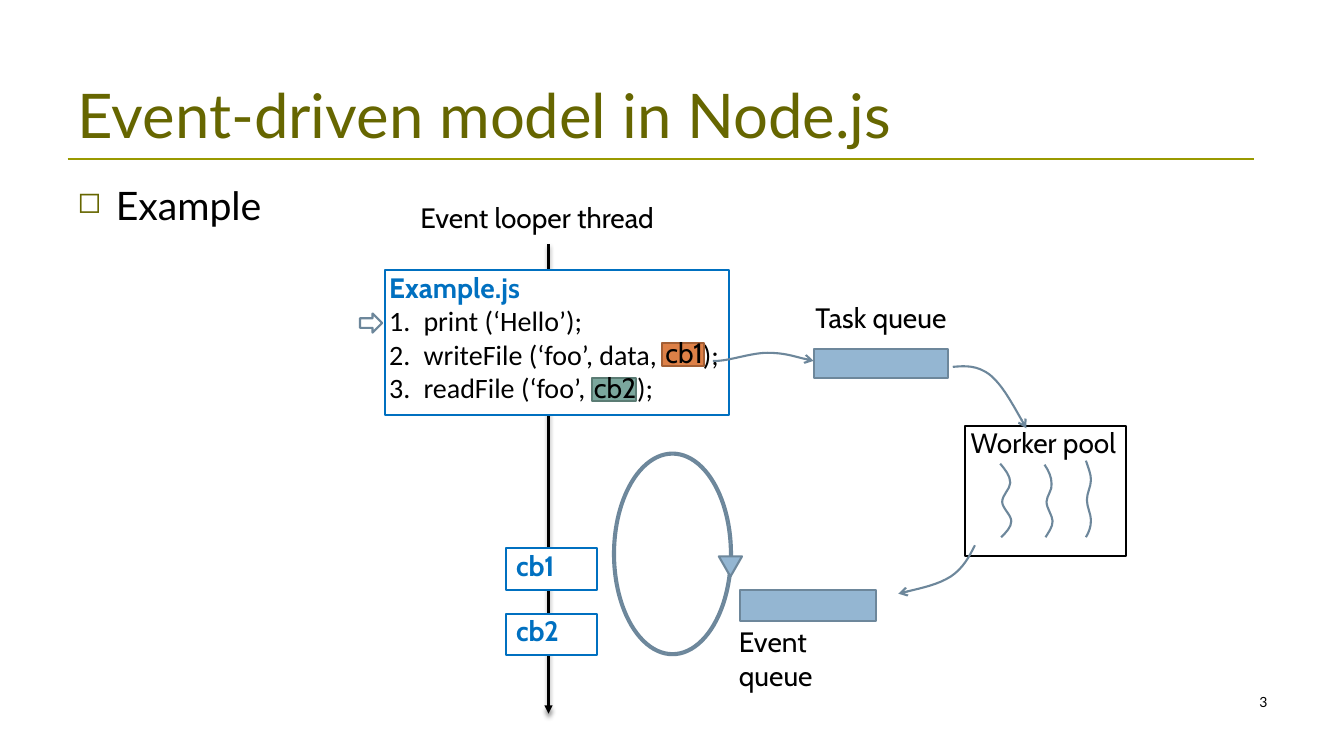
"""Build a slide on the event-driven model in Node.js."""
from lxml.etree import SubElement
from pptx import Presentation
from pptx.dml.color import RGBColor
from pptx.enum.shapes import MSO_CONNECTOR, MSO_SHAPE
from pptx.enum.text import MSO_ANCHOR, PP_ALIGN
from pptx.oxml.ns import qn
from pptx.util import Emu, Pt

PX = 9144
COLORS = {
    "ink": "000000", "paper": "FFFFFF", "olive": "666600", "rule": "999900",
    "blue": "0070C0", "steel": "6D879B", "sky": "94B6D2",
    "orange": "DD8047", "rust": "A35F35", "teal": "7BA79D", "pine": "5B7C74",
}

TITLE = ("Event-driven model in Node.js", (67, 30, 1200, 125))
TOPIC = ("Example", (67, 175, 1200, 495))
PAGE = ("3", (956, 683, 311, 50))
TITLE_RULE = (67, 158, 1244, 158)
LOOPER_THREAD = (544, 242, 544, 708)

CODE_BOX = (382, 268, 341, 144)
CODE_NAME = "Example.js"
CODE_LINES = [
    ("1.\tprint (‘Hello’);", [34]),
    ("2.\twriteFile (‘foo’, data,\t);", [34, 311]),
    ("3.\treadFile (‘foo’,\t);", [34, 246]),
]

CALLBACKS = ["cb1", "cb2"]
CALLBACK_BOX = (502, 544, 90, 41)
CALLBACK_STEP = 65

FIGURES = [
    (MSO_SHAPE.RIGHT_ARROW, (357, 311, 22, 19), "paper", "steel"),
    (MSO_SHAPE.RECTANGLE, (957, 423, 160, 129), "paper", "ink"),
    (MSO_SHAPE.RECTANGLE, (807, 346, 133, 29), "sky", "steel"),
    (MSO_SHAPE.RECTANGLE, (734, 585, 135, 31), "sky", "steel"),
    (MSO_SHAPE.DONUT, (608, 449, 118, 201), "sky", "steel"),
    (MSO_SHAPE.FLOWCHART_MERGE, (713, 552, 23, 20), "sky", "steel"),
    (MSO_SHAPE.RECTANGLE, (657, 340, 41, 23), "orange", "rust"),
    (MSO_SHAPE.RECTANGLE, (587, 375, 44, 23), "teal", "pine"),
]
LABELS = [
    ("Event looper thread", (407, 194, 262, 44)),
    ("Worker pool", (953, 417, 164, 44)),
    ("Task queue", (799, 293, 183, 44)),
    ("Event queue", (723, 615, 160, 44)),
]
ARGUMENTS = [("cb2", (589, 368, 57, 34)), ("cb1", (660, 333, 47, 34))]

FLOWS = [
    [(707, 358), (721, 359), (744, 350), (761, 350), (778, 350), (792, 355), (807, 358)],
    [(945, 364), (957, 363), (969, 362), (982, 372), (994, 382), (1006, 404), (1018, 425)],
    [(967, 541), (961, 553), (955, 564), (943, 572), (930, 580), (911, 584), (891, 589)],
]
WORKERS = [
    [(992, 460), (997, 466), (1002, 472), (1002, 479), (1002, 485), (994, 491), (994, 498),
     (994, 504), (1003, 511), (1003, 517), (1003, 523), (998, 528), (993, 533)],
    [(1036, 461), (1040, 467), (1043, 473), (1043, 480), (1044, 486), (1038, 492), (1038, 498),
     (1038, 504), (1044, 512), (1044, 517), (1044, 523), (1040, 528), (1037, 533)],
    [(1077, 457), (1079, 463), (1082, 470), (1082, 476), (1082, 483), (1078, 489), (1078, 496),
     (1078, 503), (1082, 510), (1082, 516), (1082, 523), (1080, 528), (1077, 533)],
]


def rgb(name):
    return RGBColor.from_string(COLORS[name])


def emu(lengths):
    return [Emu(length * PX) for length in lengths]


def write(frame, text, size=20, font="Cabin", color="ink", bold=False,
          align=PP_ALIGN.LEFT, anchor=MSO_ANCHOR.TOP, insets=(10, 5, 10, 5), more=False):
    frame.word_wrap = True
    frame.vertical_anchor = anchor
    (frame.margin_left, frame.margin_top,
     frame.margin_right, frame.margin_bottom) = emu(insets)
    paragraph = frame.add_paragraph() if more else frame.paragraphs[0]
    paragraph.alignment = align
    run = paragraph.add_run()
    run.text = text
    run.font.size, run.font.name, run.font.bold = Pt(size), font, bold
    run.font.color.rgb = rgb(color)
    return paragraph


def label(slide, text, box, **style):
    return write(slide.shapes.add_textbox(*emu(box)).text_frame, text, **style)


def figure(slide, kind, box, fill, line):
    shape = slide.shapes.add_shape(kind, *emu(box))
    shape.shadow.inherit = False
    shape.fill.solid()
    shape.fill.fore_color.rgb = rgb(fill)
    stroke(shape, line)
    return shape


def stroke(shape, color, tail=None):
    shape.line.color.rgb = rgb(color)
    shape.line.width = Pt(1.5)
    if tail:
        SubElement(shape.line._get_or_add_ln(), qn("a:tailEnd"), type=tail)


def straight(slide, ends, color, tail=None):
    connector = slide.shapes.add_connector(MSO_CONNECTOR.STRAIGHT, *emu(ends))
    stroke(connector, color, tail)
    return SubElement(connector._element.spPr, qn("a:effectLst"))


def curve(slide, points, tail=None):
    builder = slide.shapes.build_freeform(*points[0], scale=PX)
    builder.add_line_segments(points[1:], close=False)
    shape = builder.convert_to_shape()
    shape.shadow.inherit = False
    shape.fill.background()
    stroke(shape, "steel", tail)
    segments = list(shape._element.iter(qn("a:lnTo")))
    outline = segments[0].getparent()
    for start in range(0, len(segments), 3):
        bezier = SubElement(outline, qn("a:cubicBezTo"))
        for segment in segments[start:start + 3]:
            bezier.append(segment[0])
            outline.remove(segment)


def add_tabs(paragraph, stops):
    tabs = SubElement(paragraph._p.get_or_add_pPr(), qn("a:tabLst"))
    for stop in stops:
        SubElement(tabs, qn("a:tab"), pos=str(stop * PX), algn="l")


def add_bullet(paragraph):
    paragraph.space_before = Pt(5.6)
    props = paragraph._p.get_or_add_pPr()
    props.set("marL", str(38 * PX))
    props.set("indent", str(-38 * PX))
    tint = SubElement(props, qn("a:buClr"))
    SubElement(tint, qn("a:srgbClr"), val=COLORS["olive"])
    SubElement(props, qn("a:buSzPct"), val="75000")
    SubElement(props, qn("a:buChar"), char="◻")


def add_shadow(effects):
    shadow = SubElement(effects, qn("a:outerShdw"), blurRad=str(Pt(3)),
                        dist=str(Pt(2.4)), dir="5400000", rotWithShape="0")
    tint = SubElement(shadow, qn("a:srgbClr"), val=COLORS["ink"])
    SubElement(tint, qn("a:alpha"), val="45000")


def main():
    deck = Presentation()
    deck.slide_width, deck.slide_height = emu((1333, 750))
    slide = deck.slides.add_slide(deck.slide_layouts[6])

    straight(slide, TITLE_RULE, "rule")
    label(slide, *TITLE, size=44, font="Lato", color="olive", anchor=MSO_ANCHOR.BOTTOM)
    add_bullet(label(slide, *TOPIC, size=28, font="Lato"))
    label(slide, *PAGE, size=10, font="Lato", align=PP_ALIGN.RIGHT)
    add_shadow(straight(slide, LOOPER_THREAD, "ink", "triangle"))

    code = figure(slide, MSO_SHAPE.RECTANGLE, CODE_BOX, "paper", "blue").text_frame
    code_insets = (4, 0, 0, 5)
    write(code, CODE_NAME, color="blue", bold=True, insets=code_insets)
    for line, stops in CODE_LINES:
        add_tabs(write(code, line, font="Calibri", insets=code_insets, more=True), stops)

    left, top, width, height = CALLBACK_BOX
    for row, callback in enumerate(CALLBACKS):
        box = (left, top + row * CALLBACK_STEP, width, height)
        holder = figure(slide, MSO_SHAPE.RECTANGLE, box, "paper", "blue")
        write(holder.text_frame, callback, color="blue", bold=True, insets=(10, 0, 10, 5))

    for kind, box, fill, line in FIGURES:
        shape = figure(slide, kind, box, fill, line)
        if kind == MSO_SHAPE.DONUT:
            shape.adjustments[0] = 0.017
    for text, box in LABELS:
        label(slide, text, box)
    for text, box in ARGUMENTS:
        label(slide, text, box, insets=(0, 0, 0, 0))
    for points in FLOWS:
        curve(slide, points, "arrow")
    for points in WORKERS:
        curve(slide, points)
    deck.save("out.pptx")


if __name__ == "__main__":
    main()
